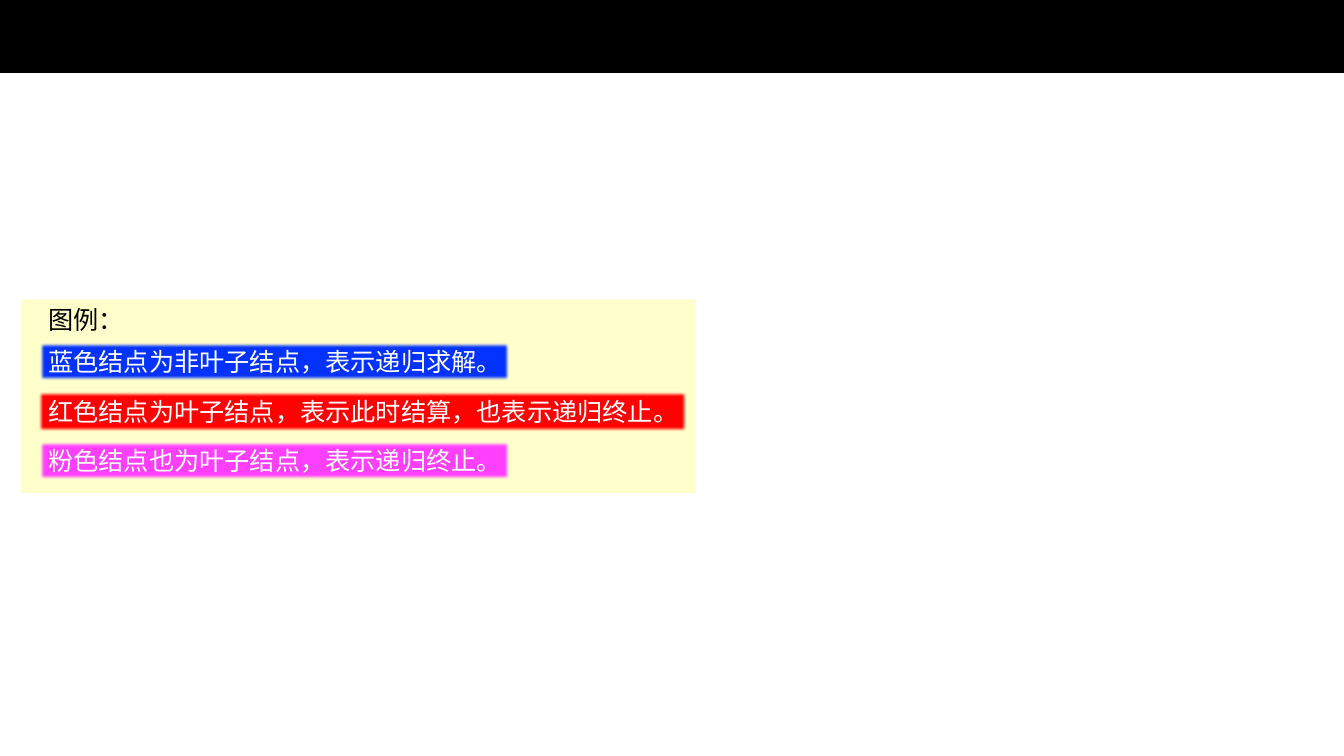
import pptx
import pptx.util
import pptx.dml.color
import pptx.enum.shapes
import pptx.enum.text
import pptx.oxml
import pptx.oxml.ns

RGB = pptx.dml.color.RGBColor
BLACK = RGB(0, 0, 0)
WHITE = RGB(0xFF, 0xFF, 0xFF)
YELLOW = RGB(0xFF, 0xFF, 0)
BLUE = RGB(0x04, 0x32, 0xFF)
RED = RGB(0xFF, 0, 0)
PINK = RGB(0xFF, 0x40, 0xFF)
NS = pptx.oxml.ns.nsdecls("a")


class Deck:
    """Holds the style and the current slide; lengths are percent of the slide."""

    font = "Times New Roman"
    size = pptx.util.Pt(18)

    def __init__(self):
        """Start a wide deck with one blank slide."""
        self.prs = pptx.Presentation()
        self.prs.slide_width = pptx.util.Inches(13.33)
        self.prs.slide_height = pptx.util.Inches(7.5)
        self.slide = self.prs.slides.add_slide(self.prs.slide_layouts[6])

    def place(self, left, top, width, height):
        """Turn percent shares into slide lengths."""
        wide, high = self.prs.slide_width, self.prs.slide_height
        return [int(share * full / 100) for share, full in
                zip((left, top, width, height), (wide, high, wide, high))]

    def rect(self, box, color, line=None):
        """Add a filled rectangle, with a thin outline if a line colour is given."""
        kind = pptx.enum.shapes.MSO_SHAPE.RECTANGLE
        shape = self.slide.shapes.add_shape(kind, *self.place(*box))
        shape.shadow.inherit = False
        shape.fill.solid()
        shape.fill.fore_color.rgb = color
        if line is None:
            shape.line.fill.background()
        else:
            shape.line.color.rgb = line
            shape.line.width = pptx.util.Pt(1)
        return shape

    def panel(self, box, color, alpha):
        """Add a see-through rectangle; alpha is percent opaque."""
        shape = self.rect(box, color)
        fill = shape._element.spPr.find(pptx.oxml.ns.qn("a:solidFill"))
        fill[0].append(pptx.oxml.parse_xml(f'<a:alpha {NS} val="{alpha * 1000}"/>'))

    def letter(self, shape, text, color):
        """Set one left-aligned line of text in a shape."""
        frame = shape.text_frame
        frame.text = text
        frame.word_wrap = False
        frame.auto_size = pptx.enum.text.MSO_AUTO_SIZE.SHAPE_TO_FIT_TEXT
        frame.vertical_anchor = pptx.enum.text.MSO_ANCHOR.TOP
        line = frame.paragraphs[0]
        line.alignment = pptx.enum.text.PP_ALIGN.LEFT
        font = line.runs[0].font
        font.name, font.size, font.color.rgb = self.font, self.size, color

    def label(self, box, text, color):
        """Add a plain text box."""
        self.letter(self.slide.shapes.add_textbox(*self.place(*box)), text, color)

    def bar(self, box, text, fill):
        """Add a soft-edged bar with white text."""
        shape = self.rect(box, fill)
        self.letter(shape, text, WHITE)
        glow = shape._element.spPr.find(pptx.oxml.ns.qn("a:effectLst"))
        glow.append(pptx.oxml.parse_xml(f'<a:softEdge {NS} rad="31750"/>'))


def main():
    """Build the legend slide."""
    deck = Deck()
    deck.rect((0, 0, 100, 9.6), BLACK, line=BLACK)
    deck.panel((1.58, 39.6, 50.19, 25.6), YELLOW, 20)

    left, top, step, high = 2.85, 45.2, 6.55, 5.33
    pad, glyph = 1.5, 1.87
    nodes = [
        ("蓝色结点为非叶子结点，表示递归求解。", BLUE),
        ("红色结点为叶子结点，表示此时结算，也表示递归终止。", RED),
        ("粉色结点也为叶子结点，表示递归终止。", PINK),
    ]
    for row, (text, fill) in enumerate(nodes):
        wide = pad + glyph * len(text)
        deck.bar((left, top + row * step, wide, high), text, fill)
    deck.label((left, 39.6, 6.45, high), "图例：", BLACK)
    deck.prs.save("out.pptx")


main()
